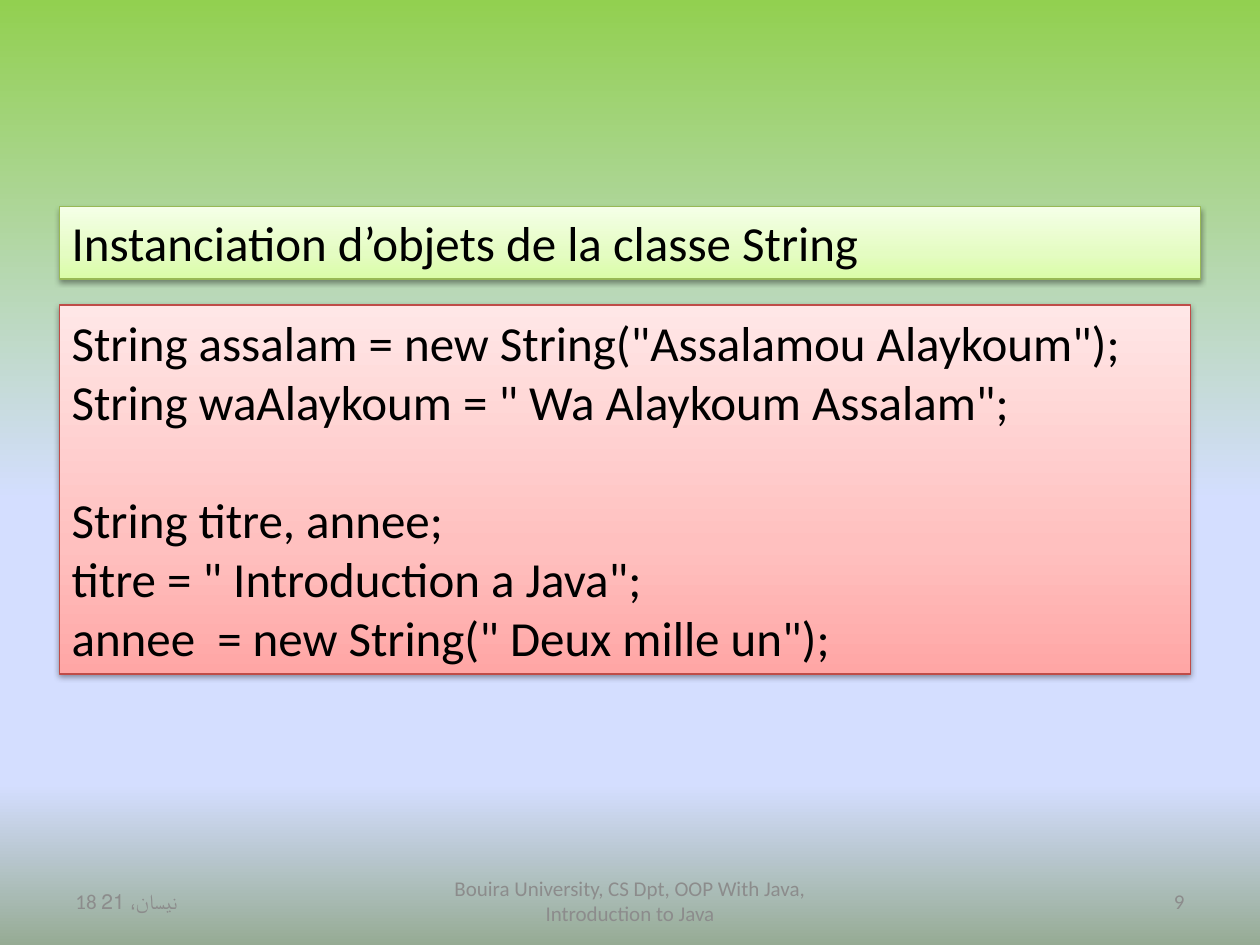
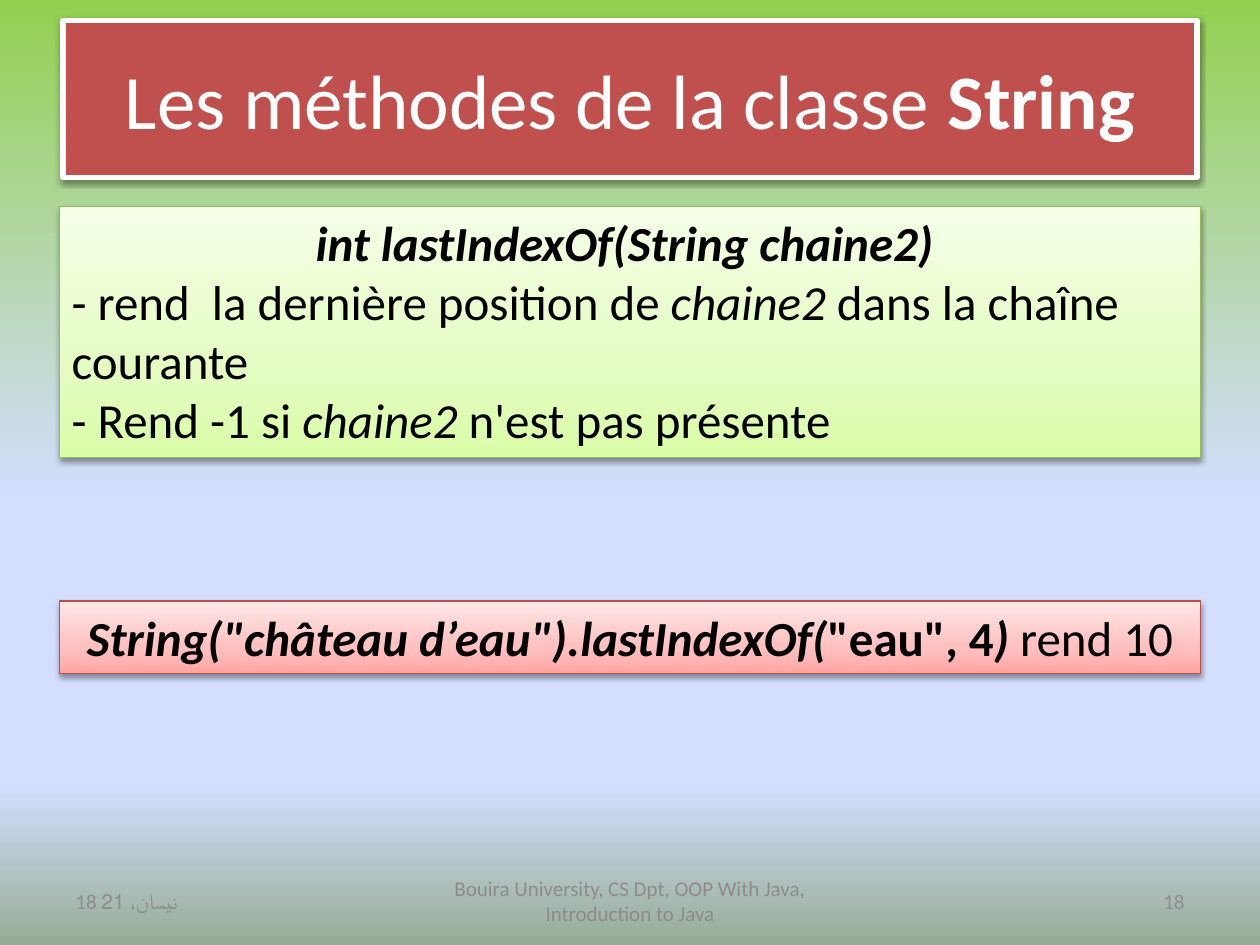
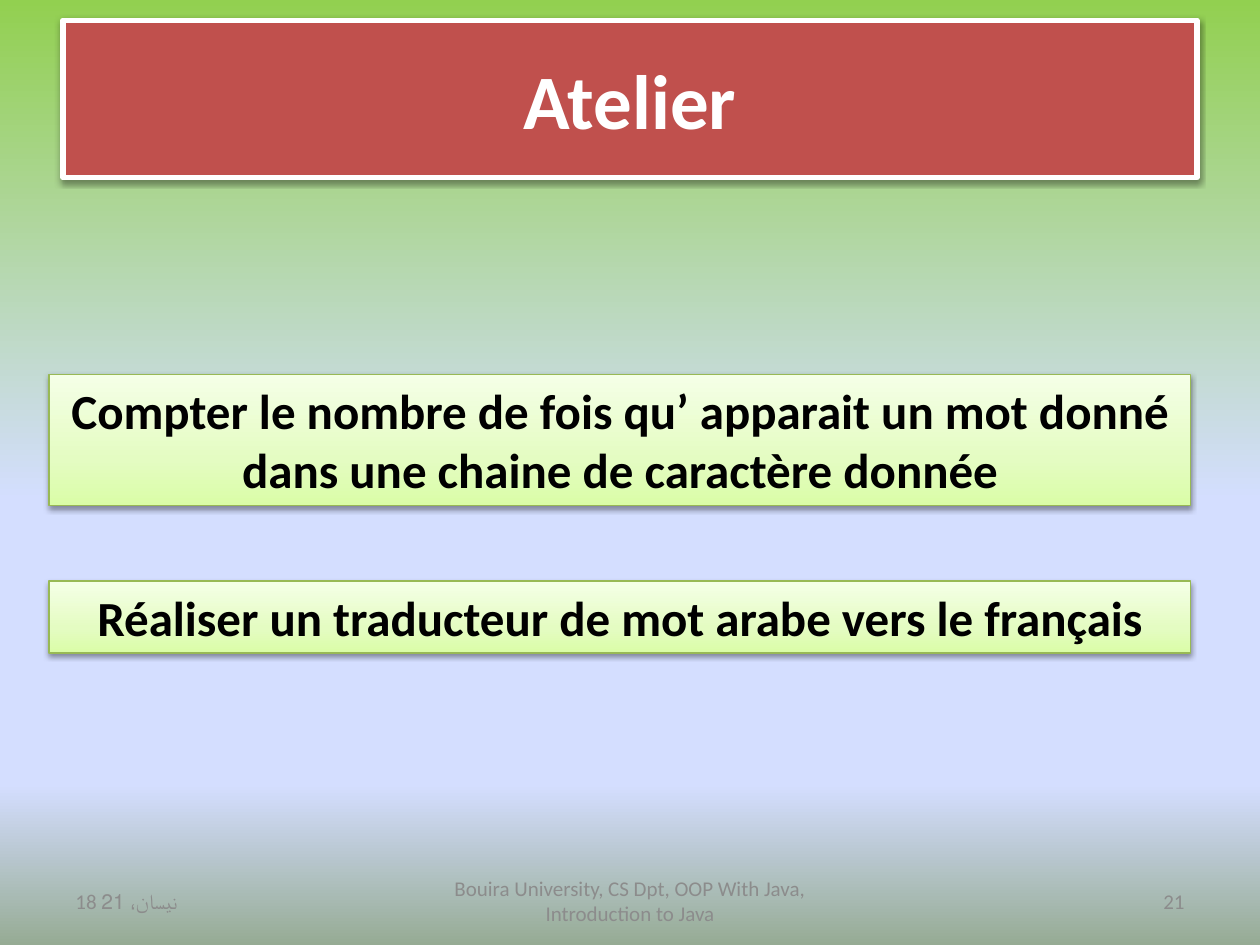
import pptx
import pptx.util
import pptx.dml.color
import pptx.enum.shapes
import pptx.enum.text
import pptx.oxml
import pptx.oxml.ns

ALIGN = pptx.enum.text.PP_ALIGN
ANCHOR = pptx.enum.text.MSO_ANCHOR
FIT = pptx.enum.text.MSO_AUTO_SIZE

FONT = "Calibri"
WHITE, BLACK, GREY, RED = "FFFFFF", "000000", "8C8C8C", "C0504D"
BACKGROUND = [(0, "92D050"), (53, "D4DEFF"), (83, "D4DEFF"), (100, "96AB94")]
GREEN_PANEL = {"stops": [(0, "DAFDA7"), (35, "E4FCC2"), (100, "F5FFE7")], "line": "98B955"}
RED_PANEL = {"stops": [(0, "FFA6A5"), (35, "FFC0BF"), (100, "FFE7E7")], "line": "BF4C48"}

# Grid: 100 columns by 100 rows; boxes are (left, top, width, height)
COLS = ROWS = 100
PAGE = (0, 0, COLS, ROWS)
TITLE_BOX = (5, 2.13, 90, 16.67)
FOOTER_BOX = (5, 92.67, 90, 5.33)
PANEL_LEFT, SHIFTED_LEFT, PANEL_WIDTH = 4.7, 3.9, 90.6
ONE_LINE = 7.65

FOOTER_TEXT = "Bouira University, CS Dpt, OOP With Java, Introduction to Java"
DATE_TEXT = "18 نيسان، 21"

prs = pptx.Presentation()
prs.slide_width = pptx.util.Inches(10)
prs.slide_height = pptx.util.Inches(7.5)


def rgb(color):
    return pptx.dml.color.RGBColor.from_string(color)


def to_emu(box):
    left, top, width, height = box
    col, row = prs.slide_width / COLS, prs.slide_height / ROWS
    return [round(v) for v in (left * col, top * row, width * col, height * row)]


def part(box, left, top, width, height):
    """Sub-box given as shares of a box."""
    x, y, w, h = box
    return x + left * w, y + top * h, width * w, height * h


def set_gradient(fill, element, stops, angle):
    """Angle is clockwise, in degrees."""
    fill.gradient()
    grad = next(element.iter(pptx.oxml.ns.qn("a:gradFill")))
    for child in list(grad):
        grad.remove(child)
    ns = pptx.oxml.ns.nsdecls("a")
    marks = "".join(f'<a:gs pos="{pos * 1000}"><a:srgbClr val="{color}"/></a:gs>'
                    for pos, color in stops)
    grad.append(pptx.oxml.parse_xml(f"<a:gsLst {ns}>{marks}</a:gsLst>"))
    grad.append(pptx.oxml.parse_xml(f'<a:lin {ns} ang="{angle * 60000}" scaled="0"/>'))


def add_shadow(sp):
    sp.shadow.inherit = False
    effects = sp._element.spPr.find(pptx.oxml.ns.qn("a:effectLst"))
    effects.append(pptx.oxml.parse_xml(
        f'<a:outerShdw {pptx.oxml.ns.nsdecls("a")} blurRad="40000" dist="20000" dir="5400000" '
        'rotWithShape="0"><a:srgbClr val="000000"><a:alpha val="38000"/></a:srgbClr></a:outerShdw>'))


def set_line(sp, color, width):
    sp.line.color.rgb = rgb(color)
    sp.line.width = pptx.util.Pt(width)


def write(sp, paragraphs, size=28, color=BLACK, align=ALIGN.LEFT, anchor=ANCHOR.TOP,
          fit=FIT.NONE, aligns=None, gaps=None):
    """Each paragraph is a list of (text, style); style holds b and i.

    aligns and gaps override alignment and space before by paragraph index."""
    tf = sp.text_frame
    tf.word_wrap = True
    tf.auto_size = fit
    tf.vertical_anchor = anchor
    for n, runs in enumerate(paragraphs):
        p = tf.add_paragraph() if n else tf.paragraphs[0]
        p.alignment = (aligns or {}).get(n, align)
        if n in (gaps or {}):
            p.space_before = pptx.util.Pt(gaps[n])
        for text, style in runs:
            r = p.add_run()
            r.text = text
            r.font.name = FONT
            r.font.size = pptx.util.Pt(size)
            r.font.color.rgb = rgb(color)
            r.font.bold = "b" in style
            r.font.italic = "i" in style


def add_panel(slide, box, look, paragraphs, **fmt):
    sp = slide.shapes.add_shape(pptx.enum.shapes.MSO_SHAPE.RECTANGLE, *to_emu(box))
    set_gradient(sp.fill, sp._element, look["stops"], 270)
    set_line(sp, look["line"], 0.75)
    add_shadow(sp)
    write(sp, paragraphs, fit=FIT.SHAPE_TO_FIT_TEXT, **fmt)


def add_title(slide, box, runs):
    sp = slide.shapes.title
    sp.left, sp.top, sp.width, sp.height = to_emu(box)
    sp.fill.solid()
    sp.fill.fore_color.rgb = rgb(RED)
    set_line(sp, WHITE, 3)
    add_shadow(sp)
    write(sp, [runs], size=44, color=WHITE, align=ALIGN.CENTER, anchor=ANCHOR.MIDDLE)


def add_footer(slide, box, number):
    cells = [(FOOTER_TEXT, 0.324, 0.352, ALIGN.CENTER),
             (str(number), 0.741, 0.259, ALIGN.RIGHT),
             (DATE_TEXT, 0, 0.259, ALIGN.LEFT)]
    for text, left, width, align in cells:
        sp = slide.shapes.add_textbox(*to_emu(part(box, left, 0, width, 1)))
        write(sp, [[(text, "")]], size=12, color=GREY, align=align, anchor=ANCHOR.MIDDLE)


def new_slide(number, title=None):
    slide = prs.slides.add_slide(prs.slide_layouts[5 if title else 6])
    if title:
        add_title(slide, TITLE_BOX, title)
    add_footer(slide, FOOTER_BOX, number)
    return slide


def instantiation_slide():
    slide = new_slide(9)
    add_panel(slide, (PANEL_LEFT, 21.87, PANEL_WIDTH, ONE_LINE), GREEN_PANEL,
              [[("Instanciation d’objets de la classe String", "")]])
    code = ['String assalam = new String("Assalamou Alaykoum");',
            'String waAlaykoum = " Wa Alaykoum Assalam";',
            "String titre, annee;",
            'titre = " Introduction a Java";',
            'annee  = new String(" Deux mille un");']
    add_panel(slide, (PANEL_LEFT, 32.27, 89.8, 39.07), RED_PANEL,
              [[(line, "")] for line in code], anchor=ANCHOR.MIDDLE, gaps={2: 34})


def methods_slide():
    slide = new_slide(18, [("Les méthodes de la classe ", ""), ("String", "b")])
    add_panel(slide, (PANEL_LEFT, 21.87, PANEL_WIDTH, 26.53), GREEN_PANEL, [
        [("int lastIndexOf(String chaine2) ", "bi")],
        [("- rend  la dernière position de ", ""), ("chaine2 ", "i"),
         ("dans la chaîne courante", "")],
        [("- Rend -1 si ", ""), ("chaine2 ", "i"), ("n'est pas présente", "")],
    ], aligns={0: ALIGN.CENTER})
    add_panel(slide, (PANEL_LEFT, 63.6, PANEL_WIDTH, ONE_LINE), RED_PANEL, [
        [('String("château d’eau").lastIndexOf(', "bi"), ('"eau", 4', "b"),
         (") ", "bi"), ("rend 10", "")],
    ], align=ALIGN.CENTER)


def workshop_slide():
    slide = new_slide(21, [("Atelier", "b")])
    tasks = [("Compter le nombre de fois qu’ apparait un mot donné "
              "dans une chaine de caractère donnée", 39.6, 13.87),
             ("Réaliser un traducteur de mot arabe vers le français", 61.47, ONE_LINE)]
    for text, top, height in tasks:
        add_panel(slide, (SHIFTED_LEFT, top, PANEL_WIDTH, height), GREEN_PANEL,
                  [[(text, "b")]], align=ALIGN.CENTER)


def main():
    master = prs.slide_master
    set_gradient(master.background.fill, master.element, BACKGROUND, 90)
    instantiation_slide()
    methods_slide()
    workshop_slide()
    prs.save("out.pptx")


if __name__ == "__main__":
    main()
